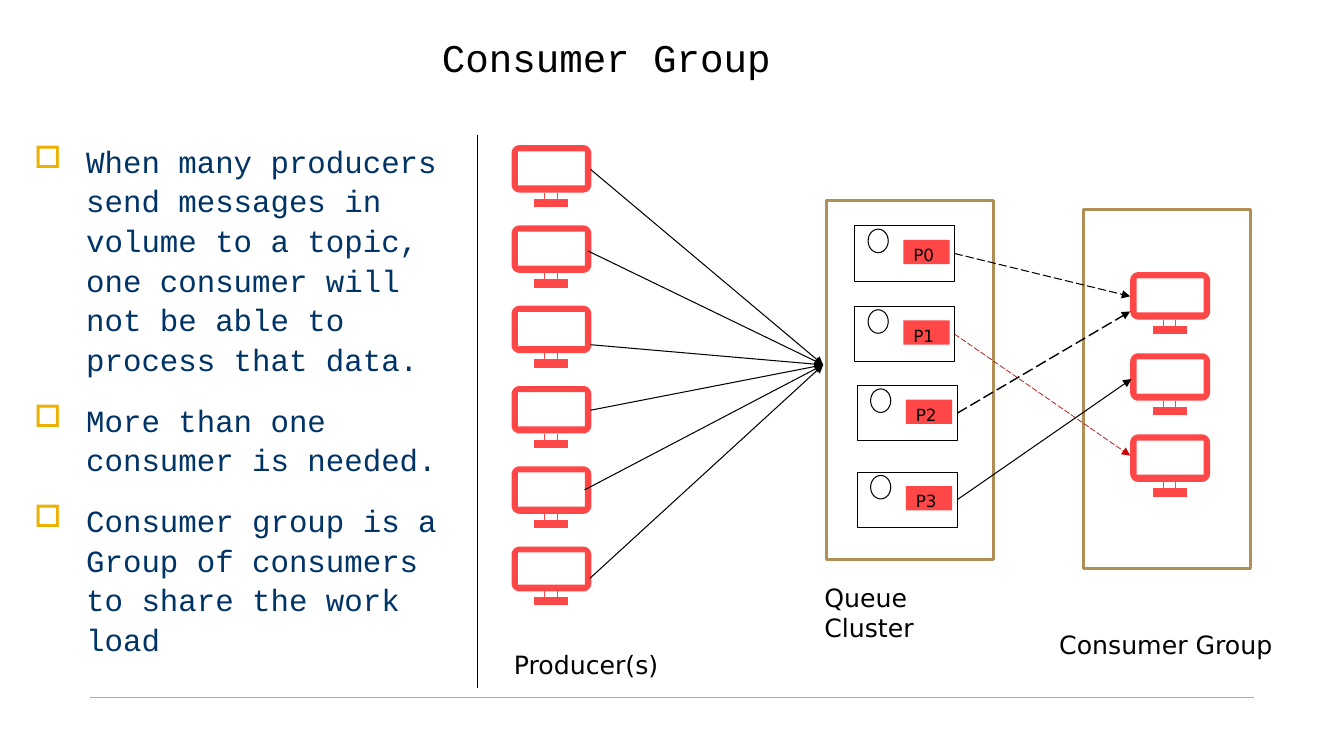
from dataclasses import dataclass
from math import cos, pi, sin

from lxml.etree import SubElement
from pptx import Presentation
from pptx.dml.color import RGBColor
from pptx.enum.dml import MSO_LINE
from pptx.enum.shapes import MSO_CONNECTOR, MSO_SHAPE
from pptx.enum.text import MSO_ANCHOR, PP_ALIGN
from pptx.oxml.ns import qn
from pptx.util import Inches, Pt


@dataclass(frozen=True)
class Theme:
    ink: str = "000000"
    navy: str = "003366"
    red: str = "FF4747"
    crimson: str = "CC0000"
    bronze: str = "AF8F55"
    gold: str = "EEB000"
    mono: str = "Courier New"
    sans: str = "DejaVu Sans"
    title_size: float = 28
    body_size: float = 22
    caption_size: float = 18
    partition_size: float = 12


THEME = Theme()
COLUMNS, ROWS = 160, 90
CELL = Inches(13.3333) / COLUMNS

SCREEN_WIDTH, SCREEN_HEIGHT = 9.5, 5.65
PRODUCER_LEFT, PRODUCER_TOP, PRODUCER_PITCH = 60.9, 17.28, 9.56
PRODUCER_HEIGHTS = [SCREEN_HEIGHT] * 5 + [5.33]
CONSUMER_LEFT, CONSUMER_TOP, CONSUMER_PITCH = 134.55, 32.4, 9.66
MESSAGE_STARTS = [(70.3, 20.16), (70, 29.88), (70.3, 41.04),
                  (70.3, 48.84), (69.6, 58.32), (70.2, 68.88)]
CLUSTER_ENTRY = (98, 43.44)
BROKER_WIDTH, BROKER_HEIGHT = 11.9, 6.6
BULLETS = [
    "When many producers send messages in volume to a topic, "
    "one consumer will not be able to process that data.",
    "More than one consumer is needed.",
    "Consumer group is a Group of consumers to share the work load",
]
BROKERS = [
    ("P0", 101.75, 26.88, (134.55, 35.28), THEME.ink, 0.75, MSO_LINE.LONG_DASH),
    ("P1", 101.75, 36.48, (134.55, 54.24), THEME.crimson, 0.5, MSO_LINE.LONG_DASH),
    ("P2", 102.05, 45.9, (134.55, 37.08), THEME.ink, 1, MSO_LINE.LONG_DASH),
    ("P3", 102.05, 56.2, (134.7, 45.12), THEME.ink, 0.75, None),
]


def grid(*cells):
    return [round(cell * CELL) for cell in cells]


def apply(target, values):
    for name, value in values.items():
        setattr(target, name, value)


def add_line(slide, start, end, color=THEME.ink, width=0.75, dash=None, arrow=False):
    line = slide.shapes.add_connector(MSO_CONNECTOR.STRAIGHT, *grid(*start, *end))
    line.line.color.rgb = RGBColor.from_string(color)
    apply(line.line, {"width": Pt(width), "dash_style": dash})
    properties = line._element.spPr
    if arrow:
        SubElement(properties.find(qn("a:ln")), qn("a:tailEnd"), type="triangle")
    SubElement(properties, qn("a:effectLst"))
    return line


def paint(shape, fill=None, outline=None, width=0.75):
    shape.shadow.inherit = False
    if fill:
        shape.fill.solid()
        shape.fill.fore_color.rgb = RGBColor.from_string(fill)
    else:
        shape.fill.background()
    if outline:
        shape.line.color.rgb = RGBColor.from_string(outline)
        shape.line.width = Pt(width)
    else:
        shape.line.fill.background()


def add_block(slide, kind, box, **style):
    shape = slide.shapes.add_shape(kind, *grid(*box))
    paint(shape, **style)
    return shape


def write(paragraph, text, size, font=THEME.sans, color=THEME.ink, **layout):
    run = paragraph.add_run()
    run.text = text
    apply(run.font, {"size": Pt(size), "name": font})
    run.font.color.rgb = RGBColor.from_string(color)
    apply(paragraph, layout)


def add_text(slide, box, text, size, wrap=False, **style):
    frame = slide.shapes.add_textbox(*grid(*box)).text_frame
    frame.word_wrap = wrap
    write(frame.paragraphs[0], text, size, **style)


def add_bullets(slide, box, texts):
    frame = slide.shapes.add_textbox(*grid(*box)).text_frame
    frame.word_wrap = True
    for index, text in enumerate(texts):
        paragraph = frame.add_paragraph() if index else frame.paragraphs[0]
        write(paragraph, text, THEME.body_size, THEME.mono, THEME.navy,
              line_spacing=1.07, space_before=Pt(4.4), space_after=Pt(11))
        properties = paragraph._p.get_or_add_pPr()
        indent = grid(6.2)[0]
        properties.set("marL", str(indent))
        properties.set("indent", str(-indent))
        SubElement(SubElement(properties, qn("a:buClr")), qn("a:srgbClr"), val=THEME.gold)
        SubElement(properties, qn("a:buChar"), char="□")


def rounded_outline(left, top, width, height, radius, steps=6):
    centers = [(left + width - radius, top + height - radius),
               (left + radius, top + height - radius),
               (left + radius, top + radius),
               (left + width - radius, top + radius)]
    return [(x + radius * cos(angle), y + radius * sin(angle))
            for quarter, (x, y) in enumerate(centers)
            for angle in [(quarter + step / steps) * pi / 2 for step in range(steps + 1)]]


def add_computer(slide, left, top, height=SCREEN_HEIGHT):
    def spot(across, down):
        return left + across * SCREEN_WIDTH, top + down * height

    outer = rounded_outline(left, top, SCREEN_WIDTH, height, 0.96)
    inner = [spot(*share) for share in [(0.08, 0.13), (0.08, 0.85), (0.92, 0.85), (0.92, 0.13)]]
    builder = slide.shapes.build_freeform(*grid(*outer[0]))
    builder.add_line_segments([grid(*point) for point in outer[1:]])
    builder.move_to(*grid(*inner[0]))
    builder.add_line_segments([grid(*point) for point in inner[1:]])
    paint(builder.convert_to_shape(), fill=THEME.red)
    add_line(slide, spot(0.28, 1.22), spot(0.71, 1.22), THEME.red, 6)
    for across in (0.41, 0.57):
        add_line(slide, spot(across, 1), spot(across, 1.17), THEME.red, 0.5)


def add_broker(slide, name, left, top):
    add_block(slide, MSO_SHAPE.OVAL, (left + 1.6, top + 0.4, 2.4, 2.8), outline=THEME.ink)
    broker = add_block(slide, MSO_SHAPE.RECTANGLE, (left, top, BROKER_WIDTH, BROKER_HEIGHT),
                       outline=THEME.ink)
    partition = add_block(slide, MSO_SHAPE.RECTANGLE, (left + 5.8, top + 1.68, 5.52, 2.88),
                          fill=THEME.red)
    partition.text_frame.vertical_anchor = MSO_ANCHOR.TOP
    write(partition.text_frame.paragraphs[0], name, THEME.partition_size,
          alignment=PP_ALIGN.LEFT)
    return broker


def main():
    presentation = Presentation()
    apply(presentation, {"slide_width": grid(COLUMNS)[0], "slide_height": grid(ROWS)[0]})
    slide = presentation.slides.add_slide(presentation.slide_layouts[6])

    add_line(slide, (10.7, 83), (149.3, 83), THEME.gold, 0.25)
    add_bullets(slide, (2.88, 16.08, 53.88, 65.88), BULLETS)
    add_text(slide, (3.24, 3.36, 137.88, 6.84), "Consumer Group", THEME.title_size,
             wrap=True, font=THEME.mono, alignment=PP_ALIGN.CENTER)

    for index, height in enumerate(PRODUCER_HEIGHTS):
        add_computer(slide, PRODUCER_LEFT, PRODUCER_TOP + index * PRODUCER_PITCH, height)
    for start in MESSAGE_STARTS:
        add_line(slide, start, CLUSTER_ENTRY, arrow=True)
    for index in range(3):
        add_computer(slide, CONSUMER_LEFT, CONSUMER_TOP + index * CONSUMER_PITCH)

    for left, top in [(129, 24.96), (98.4, 23.88)]:
        add_block(slide, MSO_SHAPE.RECTANGLE, (left, top, 19.92, 42.72),
                  outline=THEME.bronze, width=2.25)
    for name, left, top, target, color, width, dash in BROKERS:
        broker = add_broker(slide, name, left, top)
        start = (left + BROKER_WIDTH, top + BROKER_HEIGHT / 2)
        arrow = add_line(slide, start, target, color, width, dash, arrow=True)
        arrow.begin_connect(broker, 3)

    for caption, box in [("Producer(s)", (60, 76.68, 20.16, 4.8)),
                         ("Queue Cluster", (96.96, 68.76, 22.8, 4.8)),
                         ("Consumer Group", (124.92, 74.28, 28.2, 4.8))]:
        add_text(slide, box, caption, THEME.caption_size)
    add_line(slide, (56.88, 16.08), (56.88, 81.96))
    presentation.save("out.pptx")


if __name__ == "__main__":
    main()
